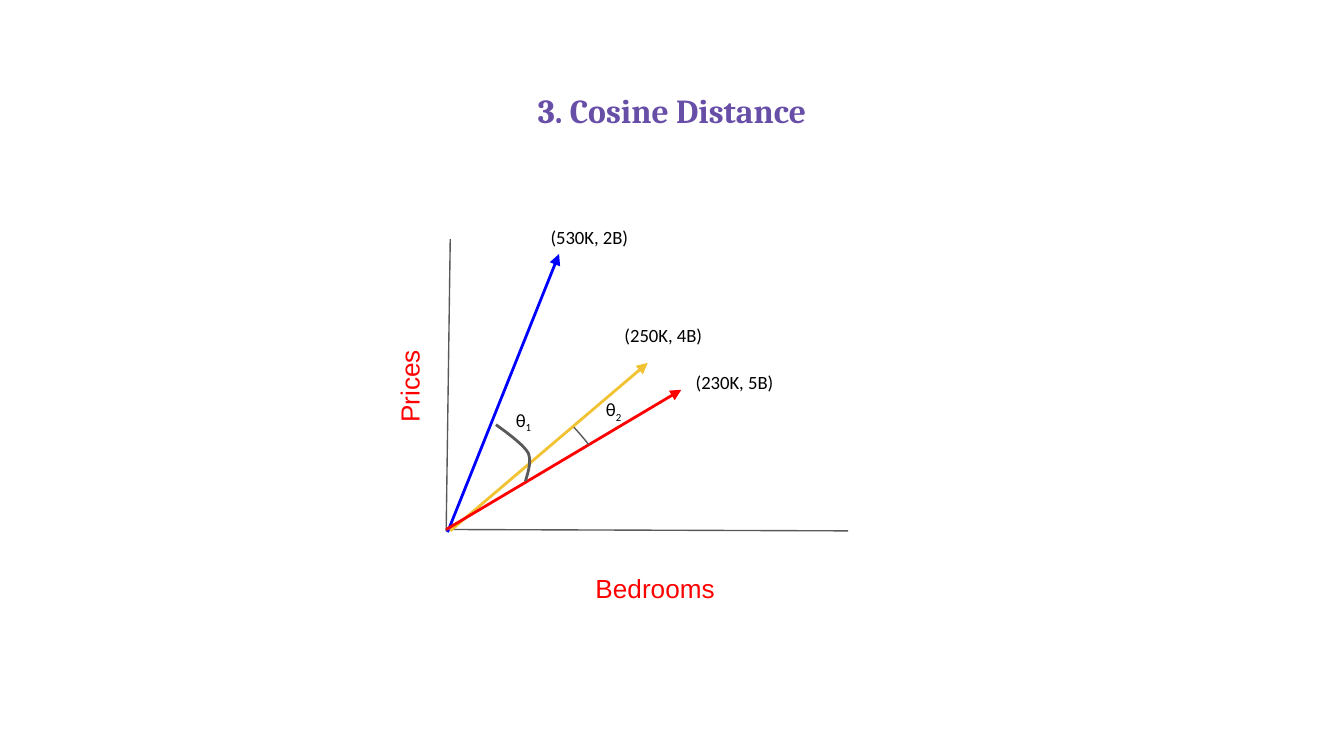
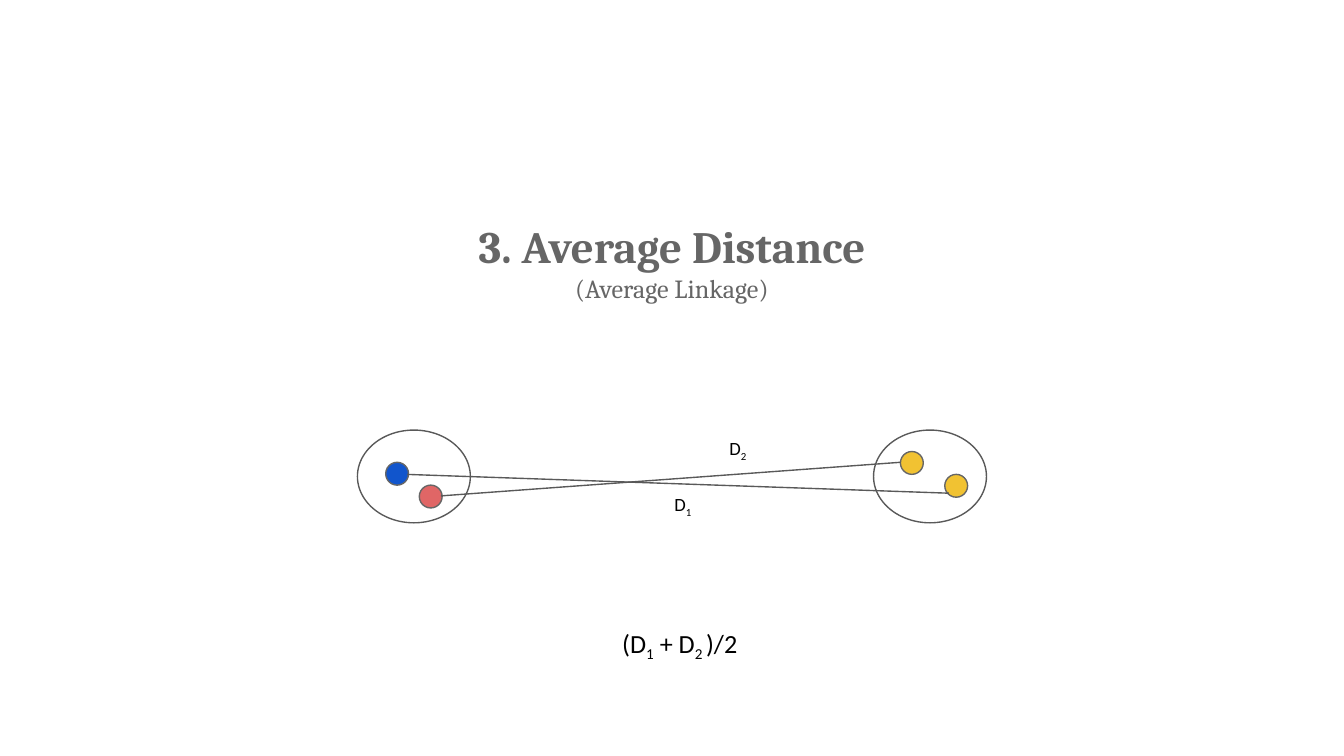
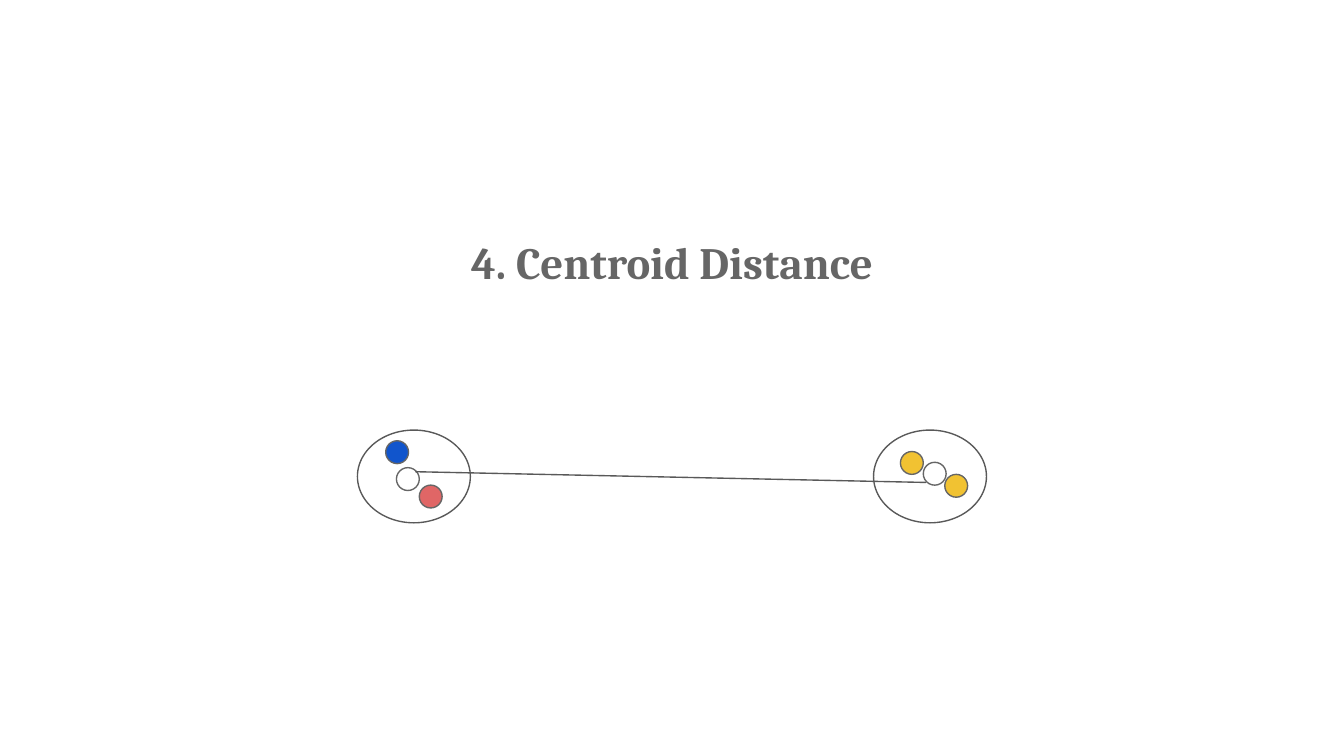
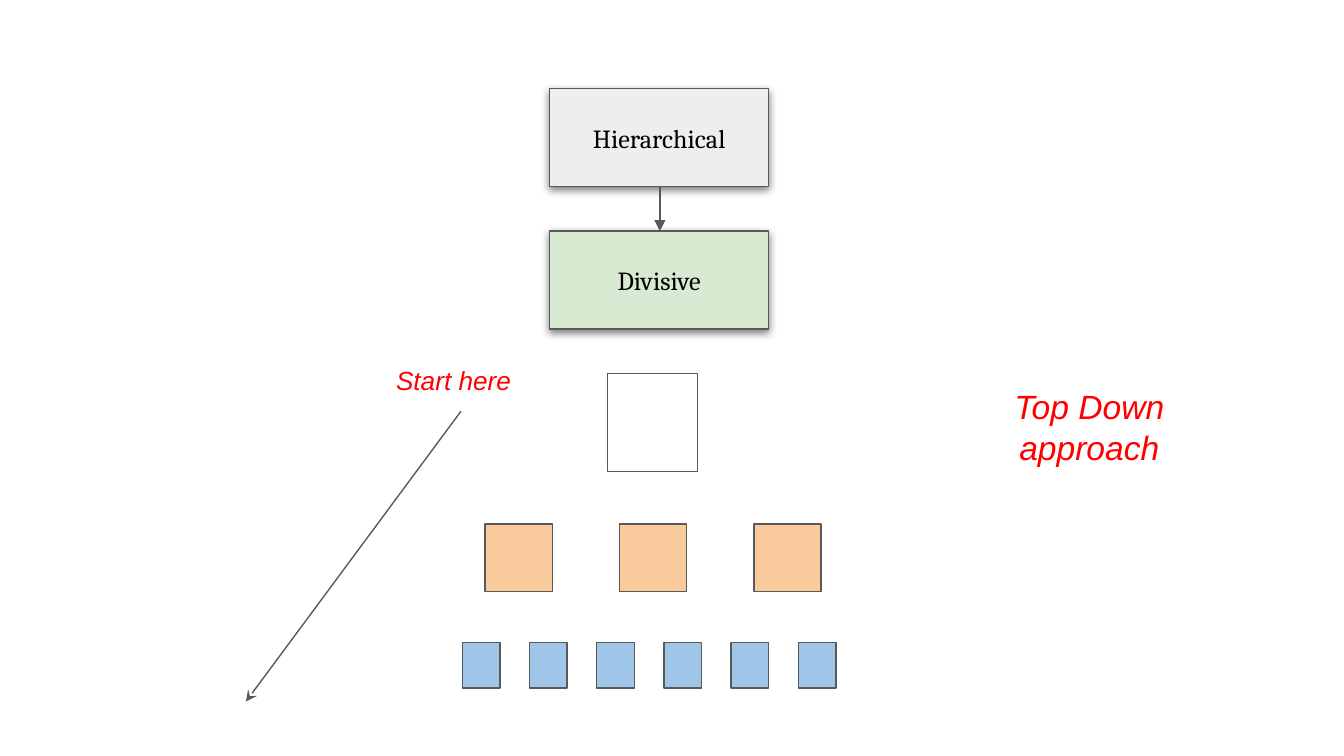
from dataclasses import dataclass
from typing import Optional

from lxml import etree
from pptx import Presentation
from pptx import util as u
from pptx.dml.color import RGBColor
from pptx.enum import shapes, text
from pptx.oxml import ns

PURPLE = RGBColor(0x67, 0x4E, 0xA7)
GREY = RGBColor(0x66, 0x66, 0x66)
SLATE = RGBColor(0x59, 0x59, 0x59)
BLACK = RGBColor(0x00, 0x00, 0x00)
WHITE = RGBColor(0xFF, 0xFF, 0xFF)
RED = RGBColor(0xFF, 0x00, 0x00)
BLUE = RGBColor(0x00, 0x00, 0xFF)
GOLD = RGBColor(0xF1, 0xC2, 0x32)
COBALT = RGBColor(0x11, 0x55, 0xCC)
CORAL = RGBColor(0xE0, 0x66, 0x66)
SILVER = RGBColor(0xEE, 0xEE, 0xEE)
MINT = RGBColor(0xD9, 0xEA, 0xD3)
PEACH = RGBColor(0xF9, 0xCB, 0x9C)
SKY = RGBColor(0x9F, 0xC5, 0xE8)

SERIF, SANS, PLAIN = "Cambria", "Calibri", "Arial"
TITLE_ONLY, BLANK = 5, 6
RECT = shapes.MSO_SHAPE.RECTANGLE
OVAL = shapes.MSO_SHAPE.OVAL
THIN, THICK = 0.75, 1.5
DOT = 0.17


@dataclass
class Box:
    left: float
    top: float
    width: float
    height: float

    def emu(self) -> list:
        return [u.Inches(n) for n in (self.left, self.top, self.width, self.height)]


@dataclass
class Dot:
    left: float
    top: float
    fill: Optional[RGBColor] = None


@dataclass
class Line:
    start: tuple
    end: tuple
    color: RGBColor = SLATE
    width: float = THIN
    arrow: str = ""


@dataclass
class Label:
    words: str
    box: Box
    size: float = 10
    font: str = SANS
    color: RGBColor = BLACK
    italic: bool = False
    turn: float = 0


@dataclass
class Curve:
    start: tuple
    bends: list
    width: float


SHARED = [Dot(3.12, 3.61, CORAL), Dot(6.7, 3.36, GOLD), Dot(7.03, 3.53, GOLD)]


def node(parent, tag: str, **attrs):
    item = etree.SubElement(parent, ns.qn(tag))
    for key, value in attrs.items():
        item.set(key, str(value))
    return item


def say(frame, words: str, *, size: float, font: str, color: RGBColor,
        bold: bool = False, italic: bool = False, lead: Optional[float] = None) -> None:
    para = frame.add_paragraph() if frame.text else frame.paragraphs[0]
    para.alignment = text.PP_ALIGN.CENTER
    if lead:
        para.line_spacing = lead
    for spot, part in enumerate(words.split("_")):
        if not part:
            continue
        run = para.add_run()
        run.text = part
        run.font.size = u.Pt(size)
        run.font.name = font
        run.font.color.rgb = color
        run.font.bold = bold
        run.font.italic = italic
        if spot % 2:
            run._r.get_or_add_rPr().set("baseline", "-25000")


def pad(frame) -> None:
    frame.word_wrap = True
    frame.auto_size = text.MSO_AUTO_SIZE.NONE
    frame.vertical_anchor = text.MSO_ANCHOR.MIDDLE
    for side in ("left", "top", "right", "bottom"):
        setattr(frame, f"margin_{side}", u.Inches(0.1))


def head(slide, top: float):
    title = slide.shapes.title
    title.left, title.top, title.width, title.height = Box(1.03, top, 7.94, 0.47).emu()
    pad(title.text_frame)
    return title.text_frame


def label(slide, item: Label) -> None:
    box = slide.shapes.add_textbox(*item.box.emu())
    box.rotation = item.turn
    pad(box.text_frame)
    say(box.text_frame, item.words, size=item.size, font=item.font,
        color=item.color, italic=item.italic)


def form(slide, kind, box: Box, fill: Optional[RGBColor] = None, edge: RGBColor = SLATE):
    shape = slide.shapes.add_shape(kind, *box.emu())
    shape.shadow.inherit = False
    if fill is None:
        shape.fill.background()
    else:
        shape.fill.solid()
        shape.fill.fore_color.rgb = fill
    shape.line.color.rgb = edge
    shape.line.width = u.Pt(THIN)
    return shape


def stroke(slide, item: Line) -> None:
    ends = [u.Inches(n) for n in item.start + item.end]
    line = slide.shapes.add_connector(shapes.MSO_CONNECTOR.STRAIGHT, *ends)
    line.line.color.rgb = item.color
    line.line.width = u.Pt(item.width)
    props = line._element.spPr
    if item.arrow:
        node(props.find(ns.qn("a:ln")), "a:tailEnd", type=item.arrow, w="med", len="med")
    node(props, "a:effectLst")


def curve(slide, item: Curve, steps: int = 12) -> None:
    points, last = [], item.start
    for bend in item.bends:
        knots = (last, *bend)
        for step in range(1, steps + 1):
            t = step / steps
            mix = ((1 - t) ** 3, 3 * t * (1 - t) ** 2, 3 * t * t * (1 - t), t ** 3)
            points.append(tuple(u.Inches(sum(m * k[axis] for m, k in zip(mix, knots)))
                                for axis in (0, 1)))
        last = bend[-1]
    build = slide.shapes.build_freeform(*(u.Inches(n) for n in item.start))
    build.add_line_segments(points, close=False)
    shape = build.convert_to_shape()
    shape.shadow.inherit = False
    shape.fill.background()
    shape.line.color.rgb = SLATE
    shape.line.width = u.Pt(item.width)


def groups(slide, dots: list) -> None:
    for left in (2.66, 6.5):
        form(slide, OVAL, Box(left, 3.2, 0.84, 0.69))
    for dot in dots:
        form(slide, OVAL, Box(dot.left, dot.top, DOT, DOT), dot.fill, GREY)


def card(slide, words: str, top: float, fill: RGBColor) -> None:
    shape = form(slide, RECT, Box(4.09, top, 1.63, 0.73), fill)
    glow = node(shape._element.spPr.find(ns.qn("a:effectLst")), "a:outerShdw",
                blurRad=u.Pt(4.5), dist=u.Pt(1.5), dir=90 * 60000,
                algn="bl", rotWithShape=0)
    node(node(glow, "a:srgbClr", val=BLACK), "a:alpha", val=50000)
    pad(shape.text_frame)
    say(shape.text_frame, words, size=14, font=SERIF, color=BLACK)


def row(slide, count: int, first: Box, step: float, fill: RGBColor) -> None:
    for spot in range(count):
        form(slide, RECT, Box(first.left + spot * step, first.top,
                              first.width, first.height), fill)


def cosine(slide) -> None:
    say(head(slide, 0.56), "3. Cosine Distance", size=18, font=SERIF,
        color=PURPLE, bold=True, lead=1.15)
    for line in (
        Line((3.35, 1.78), (3.32, 3.95)),
        Line((3.32, 3.94), (6.31, 3.95)),
        Line((3.33, 3.96), (4.16, 1.89), BLUE, THICK, "triangle"),
        Line((3.35, 3.95), (4.82, 2.7), GOLD, THICK, "triangle"),
        Line((3.32, 3.94), (5.07, 2.9), RED, THICK, "triangle"),
    ):
        stroke(slide, line)
    for arc in (
        Curve((3.69, 3.16), [((3.73, 3.19), (3.89, 3.3), (3.93, 3.37)),
                             ((3.96, 3.44), (3.92, 3.54), (3.91, 3.58))], THICK),
        Curve((4.27, 3.18), [((4.29, 3.2), (4.36, 3.28), (4.38, 3.31))], THIN),
    ):
        curve(slide, arc)
    for item in (
        Label("(230K, 5B)", Box(5.05, 2.69, 0.83, 0.31)),
        Label("(530K, 2B)", Box(3.97, 1.61, 0.83, 0.31)),
        Label("(250K, 4B)", Box(4.41, 2.36, 1.05, 0.27)),
        Label("Bedrooms", Box(3.93, 4.1, 1.89, 0.55), 14, PLAIN, RED),
        Label("Prices", Box(2.1, 2.6, 1.89, 0.55), 14, PLAIN, RED, turn=270),
        Label("θ_1_", Box(3.65, 2.98, 0.49, 0.31)),
        Label("θ_2_", Box(4.32, 2.9, 0.49, 0.31)),
    ):
        label(slide, item)


def average(slide) -> None:
    frame = head(slide, 1.71)
    say(frame, "3. Average Distance", size=24, font=SERIF, color=GREY, bold=True)
    say(frame, "(Average Linkage)", size=14, font=SERIF, color=GREY)
    groups(slide, [Dot(2.87, 3.44, COBALT), *SHARED])
    stroke(slide, Line((3.03, 3.53), (7.06, 3.67)))
    stroke(slide, Line((3.28, 3.69), (6.7, 3.44)))
    label(slide, Label("D_1_", Box(4.82, 3.61, 0.52, 0.31)))
    label(slide, Label("D_2_", Box(5.23, 3.19, 0.52, 0.31)))
    label(slide, Label("(D_1_ + D_2 _)/2 ", Box(4.33, 4.51, 1.5, 0.58), 14))


def centroid(slide) -> None:
    say(head(slide, 1.71), "4. Centroid Distance", size=24, font=SERIF,
        color=GREY, bold=True)
    groups(slide, [Dot(2.87, 3.28, COBALT), *SHARED, Dot(2.95, 3.48), Dot(6.87, 3.44)])
    stroke(slide, Line((3.09, 3.51), (6.89, 3.59)))


def divisive(slide) -> None:
    card(slide, "Hierarchical", 0.66, SILVER)
    card(slide, "Divisive", 1.72, MINT)
    row(slide, 1, Box(4.52, 2.78, 0.67, 0.73), 0, WHITE)
    row(slide, 3, Box(3.61, 3.9, 0.5, 0.5), 1, PEACH)
    row(slide, 6, Box(3.44, 4.78, 0.28, 0.34), 0.5, SKY)
    stroke(slide, Line((4.91, 1.39), (4.91, 1.72), arrow="triangle"))
    stroke(slide, Line((3.43, 3.06), (1.83, 5.22), arrow="stealth"))
    label(slide, Label("Top Down approach", Box(7.03, 2.81, 2.15, 0.73),
                       18, PLAIN, RED, True))
    label(slide, Label("Start here", Box(2.3, 2.59, 2.15, 0.47), 14, PLAIN, RED, True))


def main() -> None:
    deck = Presentation()
    deck.slide_width = u.Inches(10)
    deck.slide_height = u.Inches(10 * 9 / 16)
    for draw, layout in ((cosine, TITLE_ONLY), (average, TITLE_ONLY),
                         (centroid, TITLE_ONLY), (divisive, BLANK)):
        draw(deck.slides.add_slide(deck.slide_layouts[layout]))
    deck.save("out.pptx")


if __name__ == "__main__":
    main()
